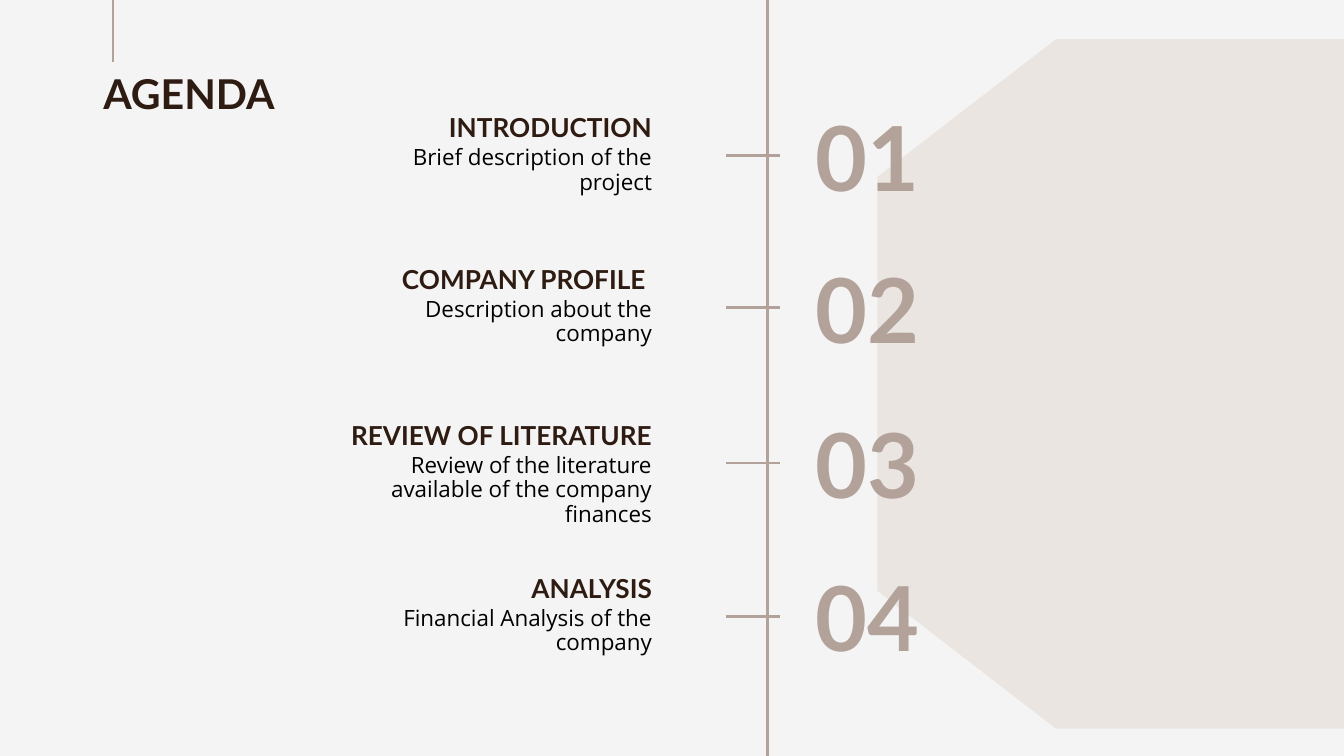
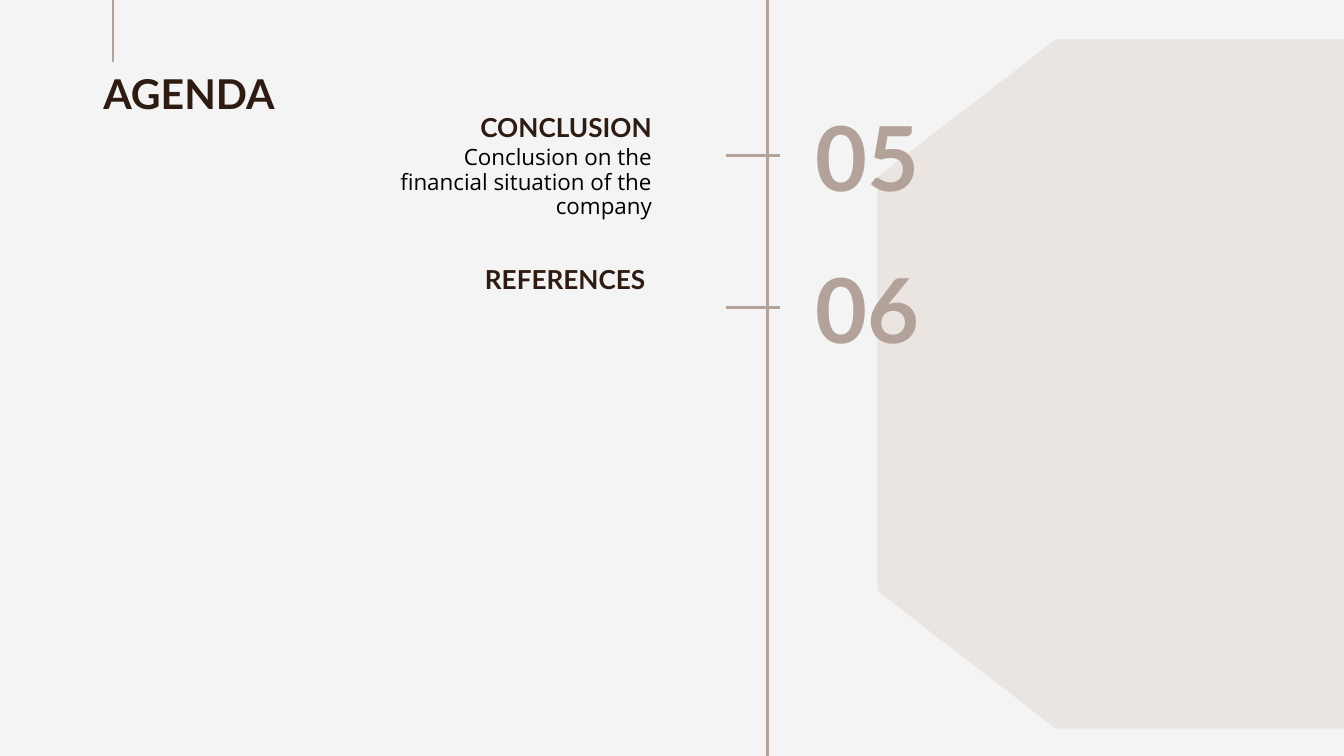
from dataclasses import dataclass

from lxml import etree
from pptx import Presentation
from pptx.dml.color import RGBColor
from pptx.enum.shapes import MSO_CONNECTOR, MSO_SHAPE
from pptx.enum.text import MSO_ANCHOR, MSO_AUTO_SIZE, PP_ALIGN
from pptx.oxml.ns import qn
from pptx.util import Pt

LEFT, RIGHT = PP_ALIGN.LEFT, PP_ALIGN.RIGHT
TOP, MIDDLE, BOTTOM = MSO_ANCHOR.TOP, MSO_ANCHOR.MIDDLE, MSO_ANCHOR.BOTTOM
NO_AUTOFIT = MSO_AUTO_SIZE.NONE
STRAIGHT = MSO_CONNECTOR.STRAIGHT
HEXAGON, RECTANGLE = MSO_SHAPE.FLOWCHART_PREPARATION, MSO_SHAPE.RECTANGLE


@dataclass(frozen=True)
class TextStyle:
    font: str
    size: float
    color: str
    bold: bool = True
    align: PP_ALIGN = LEFT
    anchor: MSO_ANCHOR = TOP
    spacing: float = 1.0


@dataclass(frozen=True)
class Theme:
    background: str = "F4F4F4"
    panel: str = "EAE5E1"
    accent: str = "B3A29A"
    line_width: float = 1.5
    inset: float = 7.2
    title: TextStyle = TextStyle("Lato", 22, "2E1B11")
    heading: TextStyle = TextStyle("Lato", 14, "2E1B11", align=RIGHT, anchor=BOTTOM)
    detail: TextStyle = TextStyle("Open Sans", 12, "000000", bold=False,
                                  align=RIGHT, spacing=0.9)
    number: TextStyle = TextStyle("Lato", 48, "B3A29A", anchor=MIDDLE)


THEME = Theme()
SLIDE_WIDTH, SLIDE_HEIGHT = 720, 405
TITLE_BOX = (48.2, 29.5, 201.6, 74.2)
PANEL_BOX = (470, 21, 264, 369.4)
ROW_LEFT, ROW_WIDTH, ROW_HEIGHT = 179.3, 342, 45.4
ROW_TOPS = (60.5, 141.9, 225.4, 307.4)
NARROW, WIDE = 149.8, 155.5

# Each entry holds a heading, its detail and the width of the detail.
AGENDA_PAGES = (
    (
        ("INTRODUCTION", "Brief description of the project", NARROW),
        ("COMPANY PROFILE ", "Description about the company", WIDE),
        ("REVIEW OF LITERATURE",
         "Review of the literature available of the company finances", WIDE),
        ("ANALYSIS", "Financial Analysis of the company", NARROW),
    ),
    (
        ("CONCLUSION", "Conclusion on the financial situation of the company", NARROW),
        ("REFERENCES ", None, None),
    ),
)


def points(*values):
    return [Pt(value) for value in values]


def write_text(shape, text, style):
    frame = shape.text_frame
    frame.word_wrap = True
    frame.auto_size = NO_AUTOFIT
    frame.vertical_anchor = style.anchor
    frame.margin_left = frame.margin_right = Pt(THEME.inset)
    frame.margin_top = frame.margin_bottom = Pt(THEME.inset)
    paragraph = frame.paragraphs[0]
    paragraph.alignment = style.align
    paragraph.line_spacing = style.spacing
    run = paragraph.add_run()
    run.text = text
    run.font.name = style.font
    run.font.size = Pt(style.size)
    run.font.bold = style.bold
    run.font.color.rgb = RGBColor.from_string(style.color)


def add_text(slide, box, text, style):
    write_text(slide.shapes.add_textbox(*points(*box)), text, style)


def add_line(slide, *ends):
    connector = slide.shapes.add_connector(STRAIGHT, *points(*ends))
    connector.line.color.rgb = RGBColor.from_string(THEME.accent)
    connector.line.width = Pt(THEME.line_width)
    etree.SubElement(connector.element.spPr, qn("a:effectLst"))


def add_panel_shape(slide, kind, box):
    shape = slide.shapes.add_shape(kind, *points(*box))
    shape.shadow.inherit = False
    shape.fill.solid()
    shape.fill.fore_color.rgb = RGBColor.from_string(THEME.panel)
    shape.line.fill.background()
    return shape


def decorate_layout(layout, slide, box):
    """Draw the panel on a slide, then move it behind everything on the layout."""
    fill = layout.background.fill
    fill.solid()
    fill.fore_color.rgb = RGBColor.from_string(THEME.background)
    left, top, width, height = box
    depth = 191.5
    # The hexagon is laid out lying down and turned about its centre.
    hexagon = add_panel_shape(slide, HEXAGON, (
        left + (depth - height) / 2, top + (height - depth) / 2, height, depth))
    hexagon.rotation = 90
    half = depth / 2
    rectangle = add_panel_shape(slide, RECTANGLE,
                                (left + half, top, width - half, height))
    for position, shape in enumerate((hexagon, rectangle), start=2):
        layout.shapes.element.insert(position, shape.element)


def place_title(slide, box):
    title = slide.shapes.title
    title.left, title.top, title.width, title.height = points(*box)
    write_text(title, "AGENDA", THEME.title)
    left, top = box[:2]
    add_line(slide, left + 12.3, -2.2, left + 12.3, top + 3.6)


def add_agenda_row(slide, box, number, heading, detail, detail_width):
    left, top, width, height = box
    heading_width, number_width = 177.1, 91.4
    add_text(slide, (left, top - 22, heading_width, height), heading, THEME.heading)
    if detail:
        detail_left = left + heading_width - detail_width
        add_text(slide, (detail_left, top + 10.8, detail_width, height),
                 detail, THEME.detail)
    add_text(slide, (left + width - number_width, top, number_width, height),
             f"{number:02}", THEME.number)
    middle = top + height / 2
    add_line(slide, left + 238.3, middle, left + 209.5, middle)


def build_agenda_slide(slide, entries, first_number):
    place_title(slide, TITLE_BOX)
    timeline = ROW_LEFT + 231.8
    add_line(slide, timeline, -3.6, timeline, SLIDE_HEIGHT + 5.4)
    for index, (top, entry) in enumerate(zip(ROW_TOPS, entries)):
        add_agenda_row(slide, (ROW_LEFT, top, ROW_WIDTH, ROW_HEIGHT),
                       first_number + index, *entry)


def main():
    presentation = Presentation()
    presentation.slide_width = Pt(SLIDE_WIDTH)
    presentation.slide_height = Pt(SLIDE_HEIGHT)
    layout = presentation.slide_layouts.get_by_name("Title Only")
    slides = [presentation.slides.add_slide(layout) for _ in AGENDA_PAGES]
    decorate_layout(layout, slides[0], PANEL_BOX)
    first_number = 1
    for slide, entries in zip(slides, AGENDA_PAGES):
        build_agenda_slide(slide, entries, first_number)
        first_number += len(entries)
    presentation.save("out.pptx")


if __name__ == "__main__":
    main()
